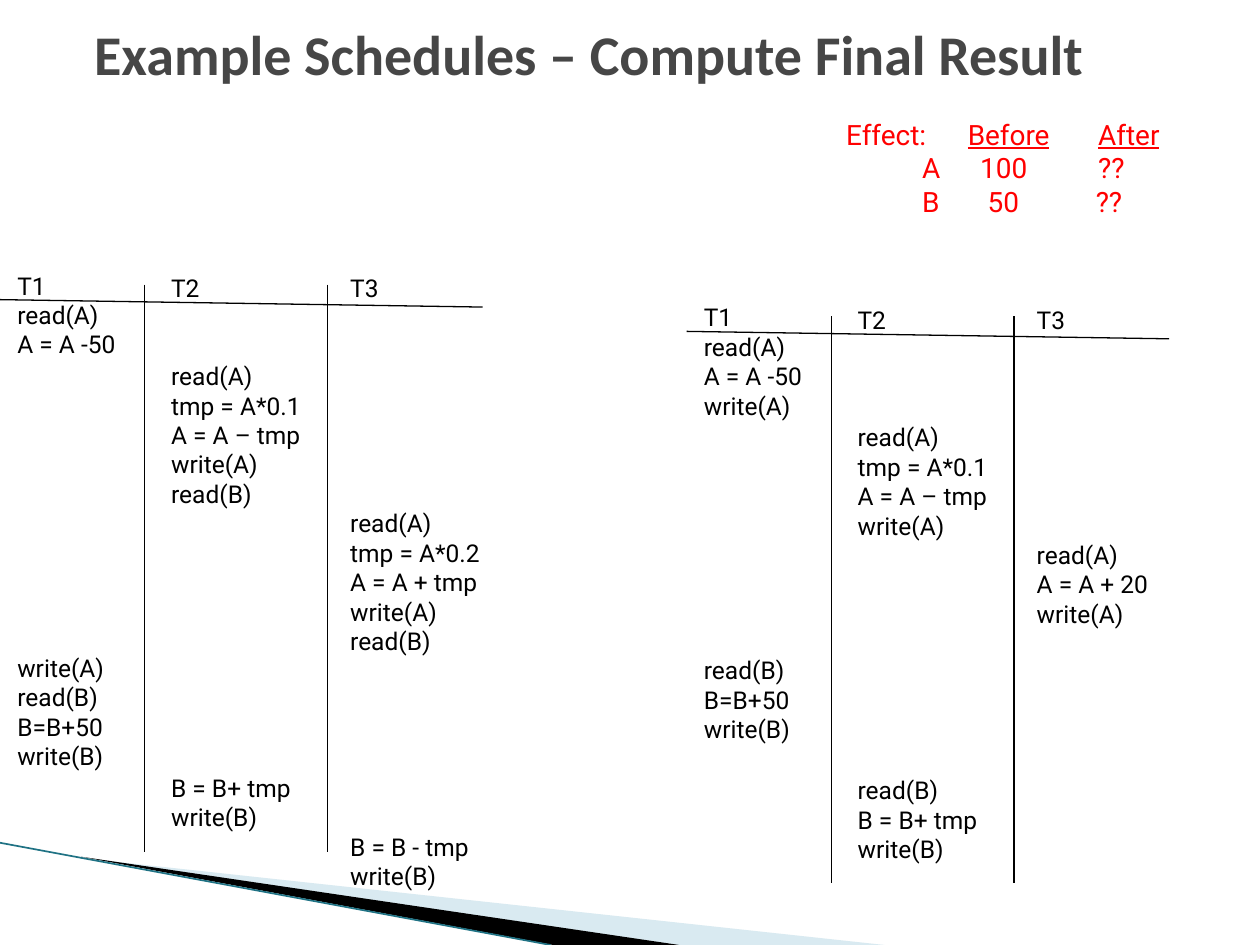
from lxml import etree
from pptx import Presentation
from pptx import util as u
from pptx.dml.color import RGBColor
from pptx.enum import shapes, text
from pptx.oxml.ns import qn

Cm, Pt = u.Cm, u.Pt


def colour(hex_value):
    return RGBColor.from_string(hex_value)


class SlideBuilder:
    BODY = {"name": "Roboto", "size": Pt(14)}
    EFFECT = {"name": "Roboto", "size": Pt(16)}
    TITLE = {"name": "Calibri", "size": Pt(32), "bold": True}
    BLACK, RED, GREY = "000000", "FF0000", "464646"
    ROW_SPACE = 16.8   # points taken by one row of body text
    ROW_HEIGHT = 0.6   # the same row when sizing a box, in cm

    def __init__(self, slide):
        self.slide = slide

    def box(self, left, top, width, height, anchor=text.MSO_ANCHOR.TOP):
        frame = self.slide.shapes.add_textbox(
            Cm(left), Cm(top), Cm(width), Cm(height)).text_frame
        settings = {"word_wrap": True, "vertical_anchor": anchor}
        for name, value in settings.items():
            setattr(frame, name, value)
        return frame

    def paragraph(self, frame, first):
        return frame.paragraphs[0] if first else frame.add_paragraph()

    def run(self, paragraph, words, style, hex_value, **extra):
        run = paragraph.add_run()
        run.text = words
        for name, value in {**style, **extra}.items():
            setattr(run.font, name, value)
        run.font.color.rgb = colour(hex_value)

    def title(self, words, *place):
        frame = self.box(*place, anchor=text.MSO_ANCHOR.MIDDLE)
        self.run(frame.paragraphs[0], words, self.TITLE, self.GREY)

    def line(self, x1, y1, x2, y2, hex_value=BLACK, width=0.75):
        line = self.slide.shapes.add_connector(
            shapes.MSO_CONNECTOR.STRAIGHT, Cm(x1), Cm(y1), Cm(x2), Cm(y2))
        line.line.color.rgb = colour(hex_value)
        line.line.width = Pt(width)
        etree.SubElement(line._element.spPr, qn("a:effectLst"))

    def wedge(self, points, hex_value, opacity=100):
        start, *rest = [(Cm(x), Cm(y)) for x, y in points]
        outline = self.slide.shapes.build_freeform(*start)
        outline.add_line_segments(rest, close=True)
        wedge = outline.convert_to_shape()
        wedge.shadow.inherit = False
        wedge.fill.solid()
        wedge.fill.fore_color.rgb = colour(hex_value)
        wedge.line.fill.background()
        if opacity < 100:
            solid = wedge._element.spPr.find(qn("a:solidFill"))
            etree.SubElement(solid[0], qn("a:alpha"), val=str(opacity * 1000))

    def transaction(self, left, top, width, steps):
        """Write blocks of operations; steps maps a time row to its block."""
        last_row = max(steps)
        rows = last_row + len(steps[last_row])
        frame = self.box(left, top, width, rows * self.ROW_HEIGHT + 0.25)
        used = 0
        for row, operations in steps.items():
            for i, operation in enumerate(operations):
                paragraph = self.paragraph(frame, used == 0)
                if i == 0 and row > used:
                    paragraph.space_before = Pt((row - used) * self.ROW_SPACE)
                self.run(paragraph, operation, self.BODY, self.BLACK)
                used = row + i + 1

    def schedule(self, left, top, columns):
        # Header rule and the two column dividers
        self.line(left, top + 0.71, left + 9.73, top + 0.86)
        for x in (2.92, 6.6):
            self.line(left + x, top + 0.41, left + x, top + 11.84)
        places = ((0.1, 0, 2.82), (3.2, 0.05, 3.48), (6.81, 0.05, 3.48))
        for (x, y, width), steps in zip(places, columns):
            self.transaction(left + x, top + y, width, steps)

    def effect(self, rows, *place):
        frame = self.box(*place)
        for i, (cells, stops) in enumerate(rows):
            paragraph = self.paragraph(frame, i == 0)
            tabs = etree.SubElement(
                paragraph._p.get_or_add_pPr(), qn("a:tabLst"))
            for stop in stops:
                etree.SubElement(tabs, qn("a:tab"), pos=str(Cm(stop)), algn="l")
            for j, cell in enumerate(cells):
                if j:
                    self.run(paragraph, "\t", self.EFFECT, self.RED)
                self.run(paragraph, cell, self.EFFECT, self.RED,
                         underline=cell in ("Before", "After"))


LEFT_SCHEDULE = (
    {0: ["T1", "read(A)", "A = A -50"],
     13: ["write(A)", "read(B)", "B=B+50", "write(B)"]},
    {0: ["T2"],
     3: ["read(A)", "tmp = A*0.1", "A = A – tmp", "write(A)", "read(B)"],
     17: ["B = B+ tmp", "write(B)"]},
    {0: ["T3"],
     8: ["read(A)", "tmp = A*0.2", "A = A + tmp", "write(A)", "read(B)"],
     19: ["B = B - tmp", "write(B)"]},
)
RIGHT_SCHEDULE = (
    {0: ["T1", "read(A)", "A = A -50", "write(A)"],
     12: ["read(B)", "B=B+50", "write(B)"]},
    {0: ["T2"],
     4: ["read(A)", "tmp = A*0.1", "A = A – tmp", "write(A)"],
     16: ["read(B)", "B = B+ tmp", "write(B)"]},
    {0: ["T3"],
     8: ["read(A)", "A = A + 20", "write(A)"]},
)
# Cells of each row and the tab stops between them, in cm
EFFECT_ROWS = (
    (["Effect:", "Before", "After"], (2.45, 5.08)),
    (["", "A", "100", "??"], (1.53, 2.7, 5.08)),
    (["", "B", "50", "??"], (1.53, 2.85, 5.03)),
)


def main():
    deck = Presentation()
    deck.slide_width, deck.slide_height = Cm(25.4), Cm(19.05)
    page = SlideBuilder(deck.slides.add_slide(deck.slide_layouts[6]))

    # Corner decoration
    page.wedge([(1.65, 17.3), (17.83, 19.05), (13.67, 19.05)], "A0CBDC", 40)
    page.wedge([(1.63, 17.27), (13.69, 19.05), (11.15, 19.05)], "000000")
    page.line(0, 16.99, 11.1, 19.05, "1F7284", 0.95)

    # Title and table of effects
    page.title("Example Schedules – Compute Final Result",
               1.65, 0.23, 22.43, 1.7)
    page.effect(EFFECT_ROWS, 16.81, 2.24, 7.06, 3.07)

    # The two schedules
    page.schedule(0, 5.33, LEFT_SCHEDULE)
    page.schedule(13.84, 5.97, RIGHT_SCHEDULE)

    deck.save("out.pptx")


if __name__ == "__main__":
    main()
